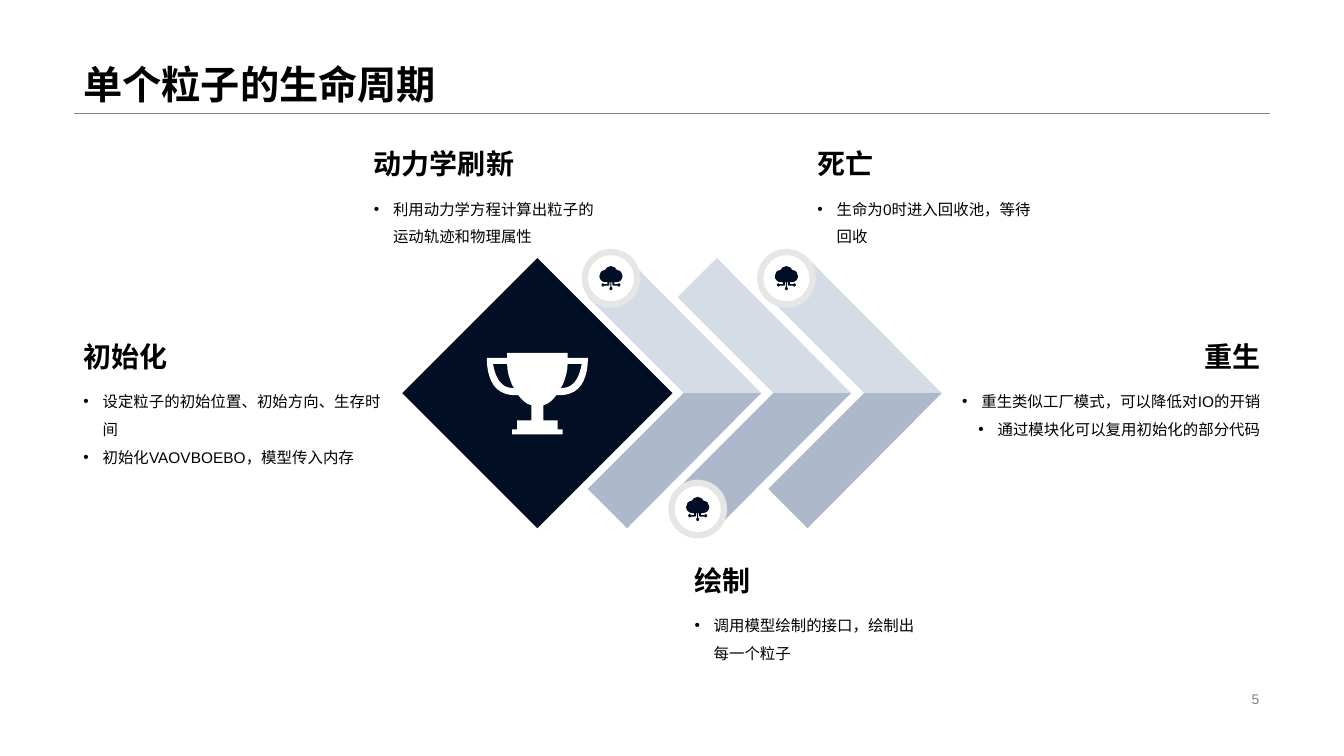
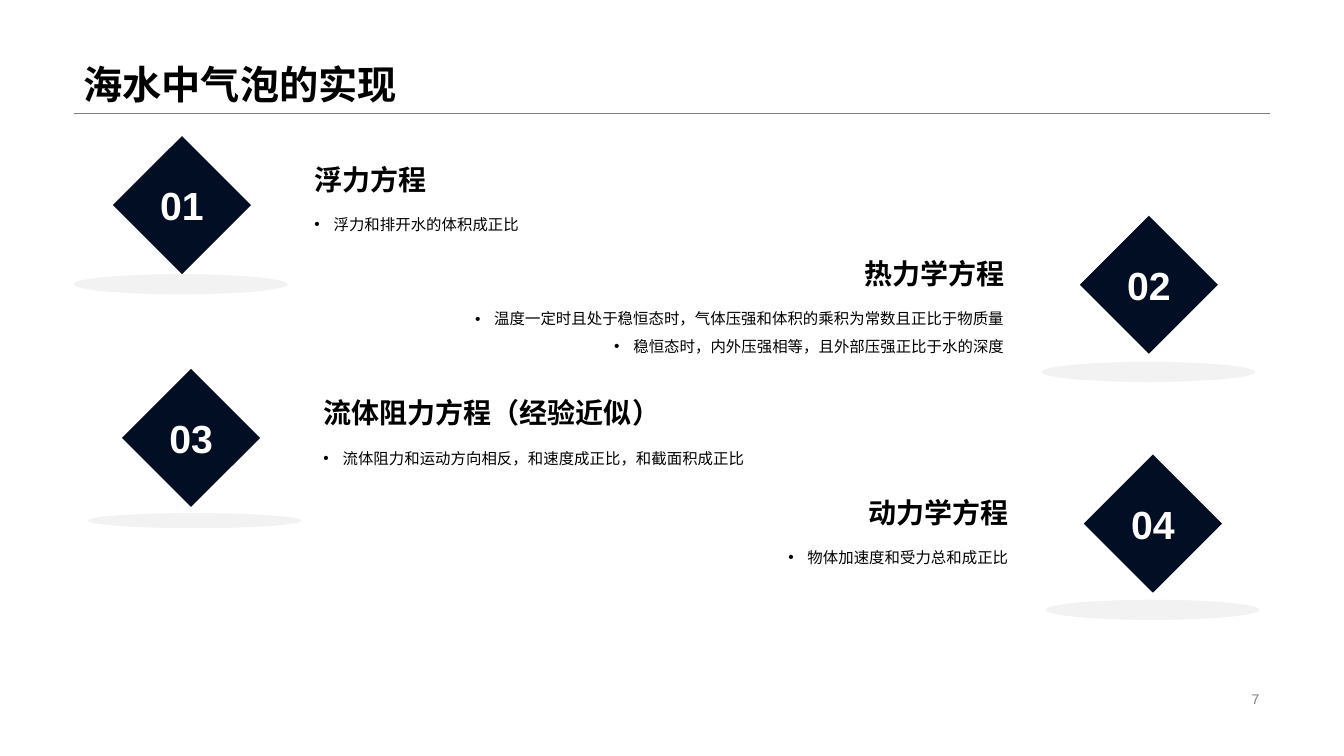
from lxml import etree
from pptx import Presentation
from pptx.dml.color import RGBColor
from pptx.enum.shapes import MSO_CONNECTOR, MSO_SHAPE
from pptx.enum.text import MSO_ANCHOR, PP_ALIGN
from pptx.oxml.ns import qn
from pptx.util import Pt

PX = 9144  # EMU per px, 100 px to the inch
LEFT, CENTER, RIGHT = PP_ALIGN.LEFT, PP_ALIGN.CENTER, PP_ALIGN.RIGHT
TOP, MIDDLE, BOTTOM = MSO_ANCHOR.TOP, MSO_ANCHOR.MIDDLE, MSO_ANCHOR.BOTTOM
DIAMOND, OVAL = MSO_SHAPE.DIAMOND, MSO_SHAPE.OVAL

COLORS = {
    "text": "000000",
    "white": "FFFFFF",
    "navy": "010E23",
    "grey": "808080",
    "ring": "E7E6E6",
    "shadow": "F2F2F2",
    "chevron_light": "D6DCE5",
    "chevron_dark": "ADB9CA",
}

# Text styles: font values, colour, anchor, line spacing, bullet indent in px
STYLES = {
    "title": ({"size": Pt(28), "bold": True}, "text", BOTTOM, 0.9, 0),
    "number": ({"size": Pt(10), "bold": False}, "grey", MIDDLE, 1.0, 0),
    "heading": ({"size": Pt(20), "bold": True}, "text", BOTTOM, 1.0, 0),
    "body": ({"size": Pt(11), "bold": False}, "text", TOP, 1.5, 19),
    "label": ({"size": Pt(28), "bold": True}, "white", MIDDLE, 1.0, 0),
}


def write_text(box, lines, style, align=LEFT):
    values, color, anchor, spacing, indent = STYLES[style]
    frame = box.text_frame
    frame.word_wrap = True
    frame.vertical_anchor = anchor
    for index, line in enumerate(lines):
        para = frame.add_paragraph() if index else frame.paragraphs[0]
        para.alignment = align
        para.line_spacing = spacing
        if indent:
            properties = para._p.get_or_add_pPr()
            properties.set("marL", str(indent * PX))
            properties.set("indent", str(-indent * PX))
            etree.SubElement(properties, qn("a:buFont"), typeface="Arial")
            etree.SubElement(properties, qn("a:buChar"), char="•")
        span = para.add_run()
        span.text = line
        span.font.name = "Arial"
        span.font.color.rgb = RGBColor.from_string(COLORS[color])
        for name, value in values.items():
            setattr(span.font, name, value)


def add_outline(page, contours, left, top, color, unit=1):
    scaled = [[[int(value * unit * PX) for value in step] for step in contour]
              for contour in contours]
    builder = page.shapes.build_freeform(*scaled[0][0], scale=1.0)
    for index, contour in enumerate(scaled):
        if index:
            builder.move_to(*contour[0])
        builder.add_line_segments([step[-2:] for step in contour[1:]], close=True)
    shape = builder.convert_to_shape(left * PX, top * PX)
    # Turn the six-number steps into cubic curves
    steps = [step for contour in scaled for step in contour]
    corner = [min(step[axis] for step in steps) for axis in (-2, -1)]
    segments = list(shape._element.iter(qn("a:lnTo")))
    for segment, step in zip(segments, [s for contour in scaled for s in contour[1:]]):
        if len(step) == 6:
            segment.tag = qn("a:cubicBezTo")
            segment.clear()
            for x, y in zip(step[::2], step[1::2]):
                etree.SubElement(segment, qn("a:pt"), x=str(x - corner[0]), y=str(y - corner[1]))
    shape.shadow.inherit = False
    shape.fill.solid()
    shape.fill.fore_color.rgb = RGBColor.from_string(COLORS[color])
    shape.line.fill.background()


# Right half of each icon, x from its axis; six numbers make a cubic curve
ICON_HALVES = {
    "trophy": [
        [(0, 0), (30, 0), (30, 0, 30, 2, 30, 5), (50, 5), (50, 8), (50, 9, 50, 27, 40, 36),
         (35, 40, 30, 42, 22, 42), (21, 42, 20, 42, 19, 42), (15, 47, 11, 51, 6, 52),
         (6, 67), (20, 67), (20, 76), (25, 76), (25, 81), (0, 81)],
        [(35, 31), (41, 26, 43, 16, 44, 11), (30, 11), (30, 18, 28, 25, 25, 32),
         (24, 33, 24, 34, 23, 35), (28, 35, 32, 34, 35, 31)],
    ],
    "cloud": [
        [(0, 0), (6, 0, 10, 4, 12, 8), (19, 8, 23, 14, 23, 20),
         (23, 26, 18, 32, 11, 32), (7, 32), (7, 36), (13, 36),
         (14, 35, 15, 34, 16, 34), (18, 34, 19, 36, 19, 38),
         (19, 40, 17, 41, 16, 41), (14, 41, 13, 40, 13, 39), (5, 39),
         (4, 39, 3, 39, 3, 38), (3, 32), (1, 32), (1, 41),
         (2, 42, 3, 43, 3, 44), (3, 46, 2, 48, 0, 48)],
    ],
}

# Mirror each half, joining the two where they meet on the axis
icons = {}
for name, halves in ICON_HALVES.items():
    icons[name] = []
    for half in halves:
        mirrored = [(-half[-1][-2], half[-1][-1])]
        for before, step in reversed(list(zip(half, half[1:]))):
            end = (-before[-2], before[-1])
            if len(step) == 6:
                x1, y1, x2, y2 = step[:4]
                end = (-x2, y2, -x1, y1, *end)
            mirrored.append(end)
        icons[name] += [half + mirrored[1:]] if half[0][0] == 0 else [half, mirrored]

# Each block: left, top, width, body height, alignment, heading, bullet lines
SLIDES = [
    ("单个粒子的生命周期", "5", [
        (73, 327, 320, 116, LEFT, "初始化",
         ["设定粒子的初始位置、初始方向、生存时间", "初始化VAOVBOEBO，模型传入内存"]),
        (934, 327, 326, 116, RIGHT, "重生",
         ["重生类似工厂模式，可以降低对IO的开销", "通过模块化可以复用初始化的部分代码"]),
        (361, 136, 240, 72, LEFT, "动力学刷新", ["利用动力学方程计算出粒子的运动轨迹和物理属性"]),
        (801, 136, 240, 72, LEFT, "死亡", ["生命为0时进入回收池，等待回收"]),
        (679, 549, 240, 72, LEFT, "绘制", ["调用模型绘制的接口，绘制出每一个粒子"]),
    ]),
    ("海水中气泡的实现", "7", [
        (302, 151, 745, 89, LEFT, "浮力方程", ["浮力和排开水的体积成正比"]),
        (288, 245, 718, 89, RIGHT, "热力学方程",
         ["温度一定时且处于稳恒态时，气体压强和体积的乘积为常数且正比于物质量",
          "稳恒态时，内外压强相等，且外部压强正比于水的深度"]),
        (311, 383, 745, 89, LEFT, "流体阻力方程（经验近似）",
         ["流体阻力和运动方向相反，和速度成正比，和截面积成正比"]),
        (292, 482, 718, 89, RIGHT, "动力学方程", ["物体加速度和受力总和成正比"]),
    ]),
]

deck = Presentation()
deck.slide_width, deck.slide_height = 1333 * PX, 750 * PX
pages = []

# Title, rule, page number and text blocks
for title, number, blocks in SLIDES:
    page = deck.slides.add_slide(deck.slide_layouts[6])
    pages.append(page)
    rule = page.shapes.add_connector(
        MSO_CONNECTOR.STRAIGHT, 73 * PX, 112 * PX, 1260 * PX, 112 * PX)
    rule.line.color.rgb = RGBColor.from_string(COLORS["grey"])
    rule.line.width = Pt(0.25)
    etree.SubElement(rule._element.spPr, qn("a:effectLst"))

    texts = [
        ((73, 0, 1187, 112), [title], "title", LEFT),
        ((942, 682, 317, 23), [number], "number", RIGHT),
    ]
    for left, top, width, height, align, heading, lines in blocks:
        texts.append(((left, top, width, 48), [heading], "heading", align))
        texts.append(((left, top + 48, width, height), lines, "body", align))
    for area, lines, style, align in texts:
        box = page.shapes.add_textbox(*[value * PX for value in area])
        write_text(box, lines, style, align)

cycle_page, bubble_page = pages

# Chevrons, folded at the horizontal axis
AXIS = 390
for index in range(3):
    for side, color in ((-1, "chevron_light"), (1, "chevron_dark")):
        corners = [(0, side * 95), (39, side * 134), (172, 0), (95, 0)]
        add_outline(cycle_page, [corners], 583 + 179 * index // 2, AXIS, color)

# Diamonds, icon badges and ground shadows
BADGES = [(580, 250), (666, 479), (754, 250)]
STEPS = [  # diamond left and top, shadow left, top and height
    (112, 135, 73, 272, 20),
    (1071, 214, 1033, 359, 20),
    (121, 366, 87, 509, 15),
    (1075, 451, 1037, 595, 20),
]
figures = [(cycle_page, DIAMOND, (399, 256, 268, 268), "navy", None, "")]
for left, top in BADGES:
    figures.append((cycle_page, OVAL, (left, top, 52, 52), "white", "ring", ""))
for index, (left, top, shadow_left, shadow_top, shadow_height) in enumerate(STEPS, 1):
    shadow_area = (shadow_left, shadow_top, 212, shadow_height)
    figures.append((bubble_page, OVAL, shadow_area, "shadow", None, ""))
    figures.append((bubble_page, DIAMOND, (left, top, 137, 137), "navy", None, f"{index:02}"))

for page, kind, area, fill, ring, label in figures:
    shape = page.shapes.add_shape(kind, *[value * PX for value in area])
    shape.shadow.inherit = False
    shape.fill.solid()
    shape.fill.fore_color.rgb = RGBColor.from_string(COLORS[fill])
    if ring:
        shape.line.color.rgb = RGBColor.from_string(COLORS[ring])
        shape.line.width = Pt(4.5)
    else:
        shape.line.fill.background()
    if label:
        for side in ("left", "top", "right", "bottom"):
            setattr(shape.text_frame, f"margin_{side}", 0)
        write_text(shape, [label], "label", CENTER)

# Icons
add_outline(cycle_page, icons["trophy"], 533, 350, "white")
for left, top in BADGES:
    add_outline(cycle_page, icons["cloud"], left + 26, top + 14, "navy", unit=0.5)

deck.save("out.pptx")
